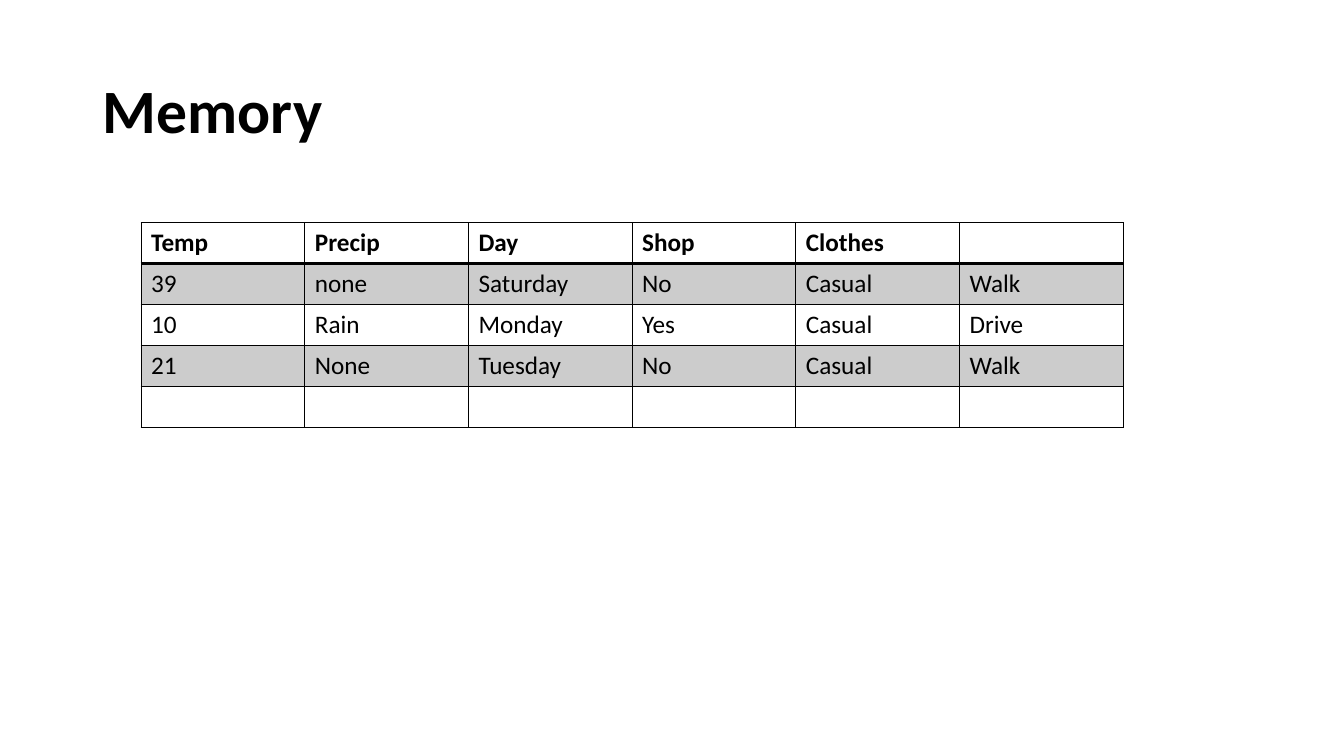
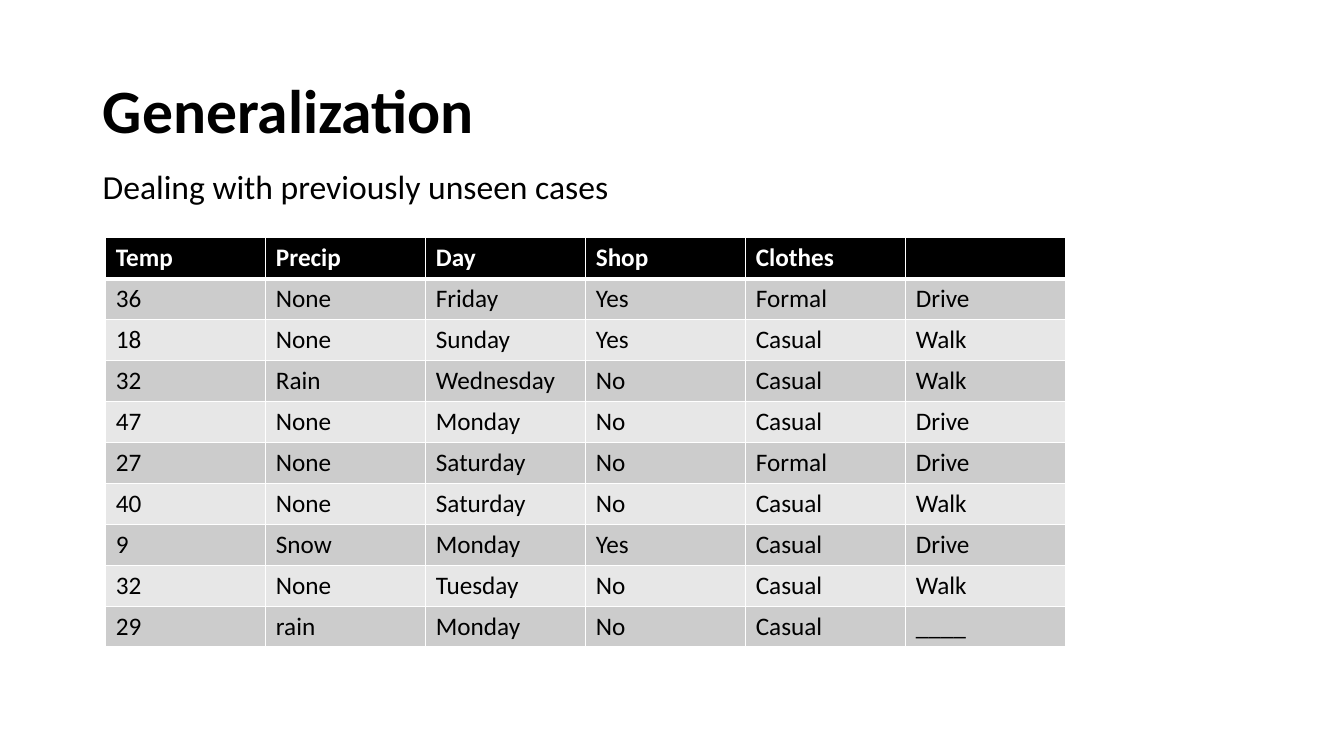
from pptx import Presentation
from pptx.dml.color import RGBColor
from pptx.enum import text
from pptx.oxml import parse_xml
from pptx.oxml.ns import nsdecls
from pptx.util import Inches, Pt

# Content
HEADER = ["Temp", "Precip", "Day", "Shop", "Clothes", ""]
MEMORY = [
    HEADER,
    ["39", "none", "Saturday", "No", "Casual", "Walk"],
    ["10", "Rain", "Monday", "Yes", "Casual", "Drive"],
    ["21", "None", "Tuesday", "No", "Casual", "Walk"],
    [""] * 6,
]
GENERALIZATION = [
    HEADER,
    ["36", "None", "Friday", "Yes", "Formal", "Drive"],
    ["18", "None", "Sunday", "Yes", "Casual", "Walk"],
    ["32", "Rain", "Wednesday", "No", "Casual", "Walk"],
    ["47", "None", "Monday", "No", "Casual", "Drive"],
    ["27", "None", "Saturday", "No", "Formal", "Drive"],
    ["40", "None", "Saturday", "No", "Casual", "Walk"],
    ["9", "Snow", "Monday", "Yes", "Casual", "Drive"],
    ["32", "None", "Tuesday", "No", "Casual", "Walk"],
    ["29", "rain", "Monday", "No", "Casual", "____"],
]
SUBTITLE = "Dealing with previously unseen cases"

# Shared style
COLORS = {"black": "000000", "white": "FFFFFF", "dark": "CCCCCC", "light": "E7E7E7"}
FONT = "Calibri"

# Table looks: header fill, alternating row fills, header text, border, header rule
OUTLINED = {"header": None, "bands": ["dark", None], "header_text": "black",
            "border": "black", "rule": 2}
BANDED = {"header": "black", "bands": ["dark", "light"], "header_text": "white",
          "border": "white", "rule": 3}


def style(p, size, color="black", bold=False):
    p.font.name = FONT
    p.font.size = Pt(size)
    p.font.bold = bold
    p.font.color.rgb = RGBColor.from_string(COLORS[color])


def add_titled_slide(prs, title):
    s = prs.slides.add_slide(prs.slide_layouts[5])
    sp = s.shapes.title
    sp.left, sp.top = Inches(0.92), Inches(0.4)
    sp.width, sp.height = Inches(11.5), Inches(1.45)
    tf = sp.text_frame
    tf.text = title
    tf.vertical_anchor = text.MSO_ANCHOR.MIDDLE
    p = tf.paragraphs[0]
    p.alignment = text.PP_ALIGN.LEFT
    p.line_spacing = 0.9
    style(p, 44, bold=True)
    return s


def set_borders(cell, color, widths):
    tc_pr = cell._tc.get_or_add_tcPr()
    for side, width in zip("LRTB", widths):
        tc_pr.append(parse_xml(
            f'<a:ln{side} {nsdecls("a")} w="{Pt(width)}"><a:solidFill>'
            f'<a:srgbClr val="{COLORS[color]}"/></a:solidFill></a:ln{side}>'))


def add_data_table(s, rows, look, left, top, width):
    cols, row_height = len(rows[0]), Inches(0.406)
    frame = s.shapes.add_table(len(rows), cols, Inches(left), Inches(top),
                               Inches(width), row_height * len(rows))
    table = frame.table
    table.first_row = table.horz_banding = False
    for column in table.columns:
        column.width = Inches(width / cols)
    for i, row in enumerate(rows):
        table.rows[i].height = row_height
        is_header = i == 0
        fill = look["header"] if is_header else look["bands"][(i - 1) % 2]
        top_line = look["rule"] if i == 1 else 1
        bottom_line = look["rule"] if is_header else 1
        for j, value in enumerate(row):
            cell = table.cell(i, j)
            cell.text = value
            style(cell.text_frame.paragraphs[0], 18,
                  look["header_text"] if is_header else "black", is_header)
            set_borders(cell, look["border"], (1, 1, top_line, bottom_line))
            if fill:
                cell.fill.solid()
                cell.fill.fore_color.rgb = RGBColor.from_string(COLORS[fill])
            else:
                cell.fill.background()


def main():
    prs = Presentation()
    prs.slide_width, prs.slide_height = Inches(13.33), Inches(7.5)

    # Memory
    s = add_titled_slide(prs, "Memory")
    add_data_table(s, MEMORY, OUTLINED, 1.4, 2.21, 9.74)

    # Generalization
    s = add_titled_slide(prs, "Generalization")
    add_data_table(s, GENERALIZATION, BANDED, 1.05, 2.36, 9.52)
    tf = s.shapes.add_textbox(Inches(0.92), Inches(1.6), Inches(5.27),
                              Inches(0.5)).text_frame
    tf.word_wrap = False
    tf.auto_size = text.MSO_AUTO_SIZE.SHAPE_TO_FIT_TEXT
    tf.text = SUBTITLE
    style(tf.paragraphs[0], 24)

    prs.save("out.pptx")


if __name__ == "__main__":
    main()
